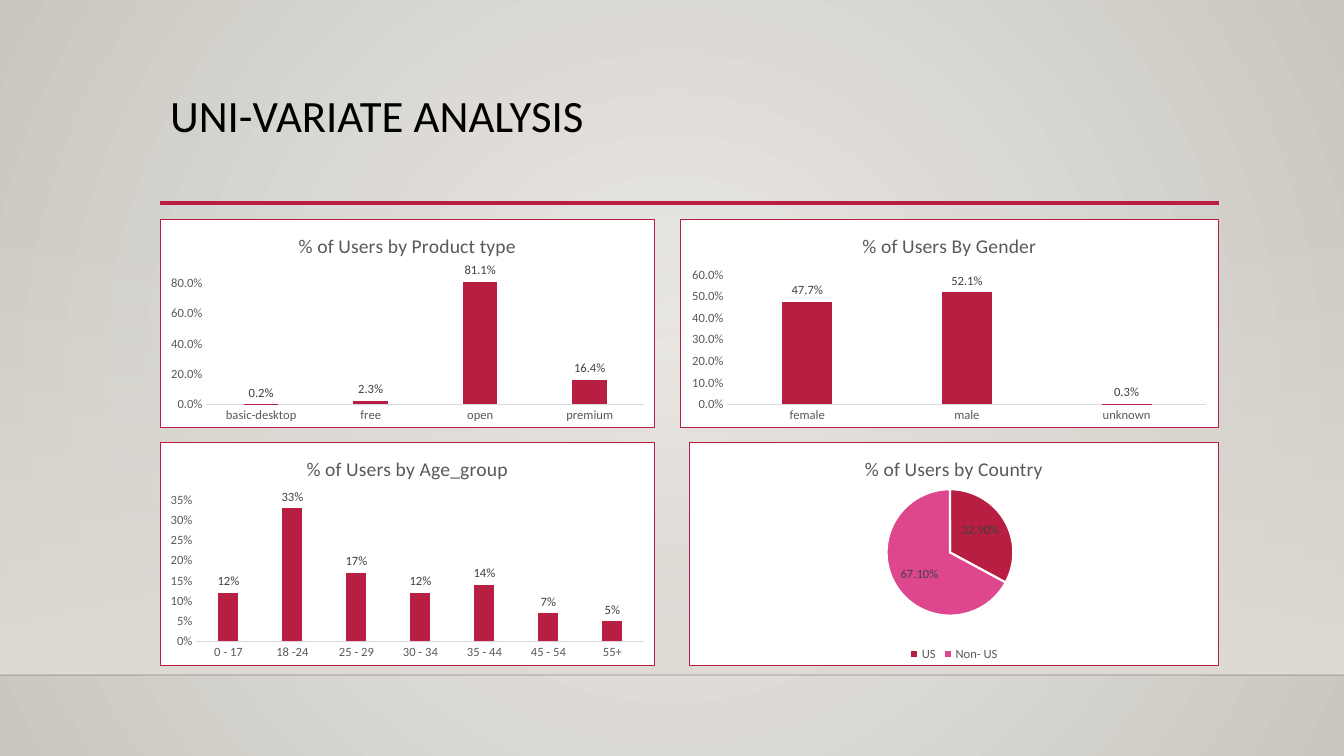
import pptx
import pptx.util
import pptx.chart.data
import pptx.dml.color
import pptx.enum.chart
import pptx.enum.shapes
import pptx.enum.text
import pptx.oxml
import pptx.oxml.ns

RED, PINK, GRAY, DARK = "B71E42", "DE478E", "595959", "404040"
WIDE, HIGH = 1344, 756
LEFT, RIGHT, FLOOR = 160, 1219, 675
TITLE = "UNI-VARIATE ANALYSIS"

BARS = [
    dict(title="% of Users by Product type", box=(LEFT, 219, 495, 209),
         plot=(206, 268, 439, 137), top=0.9, step=0.2, form="0.0%",
         data={"basic-desktop": 0.002, "free": 0.023, "open": 0.811, "premium": 0.164}),
    dict(title="% of Users By Gender", box=(680, 219, 539, 209),
         plot=(727, 275, 480, 130), top=0.6, step=0.1, form="0.0%",
         data={"female": 0.477, "male": 0.521, "unknown": 0.003}),
    dict(title="% of Users by Age_group", box=(LEFT, 442, 495, 224),
         plot=(196, 500, 449, 142), top=0.35, step=0.05, form="0%",
         data={"0 - 17": 0.12, "18 -24": 0.33, "25 - 29": 0.17, "30 - 34": 0.12,
               "35 - 44": 0.14, "45 - 54": 0.07, "55+": 0.05}),
]
PIE = dict(title="% of Users by Country", box=(689, 442, 530, 224),
           plot=(886, 489, 128, 127), form="0.00%",
           data={"US": 0.329, "Non- US": 0.671})

KIND = pptx.enum.chart.XL_CHART_TYPE
SPOT = pptx.enum.chart.XL_LABEL_POSITION
TICK = pptx.enum.chart.XL_TICK_MARK
qn = pptx.oxml.ns.qn
SPACES = pptx.oxml.ns.nsdecls("a", "c", "p")


def px(*sizes):
    return [pptx.util.Emu(round(size * 914400 / 100.8)) for size in sizes]


def rgb(text):
    return pptx.dml.color.RGBColor.from_string(text)


def node(tag, body="", attrs=""):
    return pptx.oxml.parse_xml(f"<{tag} {SPACES} {attrs}>{body}</{tag}>")


def style(font, size=9, color=GRAY):
    font.name, font.size, font.bold = "Calibri", pptx.util.Pt(size), False
    font.color.rgb = rgb(color)


def write(frame, text, size=14, color=GRAY, space=None):
    frame.text = text
    para = frame.paragraphs[0]
    para.line_spacing = space
    style(para.runs[0].font, size, color)
    return para


def grad(stops, way):
    marks = "".join(
        f'<a:gs pos="{spot}000"><a:srgbClr val="{color}"><a:alpha val="{alpha}000"/></a:srgbClr></a:gs>'
        for spot, color, alpha in stops)
    return f'<a:gradFill rotWithShape="1"><a:gsLst>{marks}</a:gsLst>{way}</a:gradFill>'


def rule(x1, x2, y, color, width, alpha=100):
    line = slide.shapes.add_connector(pptx.enum.shapes.MSO_CONNECTOR.STRAIGHT, *px(x1, y, x2, y))
    line.line.color.rgb = rgb(color)
    line.line.width = pptx.util.Pt(width)
    props = line._element.spPr
    props.find(".//" + qn("a:srgbClr")).append(node("a:alpha", attrs=f'val="{alpha}000"'))
    props.append(node("a:effectLst"))


def draw(kind, item):
    data = pptx.chart.data.CategoryChartData(number_format=item["form"])
    data.categories = list(item["data"])
    data.add_series(item["title"], list(item["data"].values()))
    chart = slide.shapes.add_chart(kind, *px(*item["box"]), data).chart
    style(chart.font, 10, "000000")
    chart.has_title = True
    write(chart.chart_title.text_frame, item["title"])
    chart.has_legend = False

    root = chart._chartSpace
    body = root.find(qn("c:chart"))
    if root.find(qn("c:roundedCorners")) is None:
        body.addprevious(node("c:roundedCorners", attrs='val="0"'))
    body.addnext(node("c:spPr",
        '<a:solidFill><a:srgbClr val="FFFFFF"/></a:solidFill>'
        f'<a:ln w="9525"><a:solidFill><a:srgbClr val="{RED}"/></a:solidFill></a:ln>'))

    area = body.find(qn("c:plotArea"))
    for old in area.findall(qn("c:layout")):
        area.remove(old)
    x, y, w, h = item["box"]
    left, top, wide, high = item["plot"]
    parts = dict(x=(left - x) / w, y=(top - y) / h, w=wide / w, h=high / h)
    place = '<c:layoutTarget val="inner"/><c:xMode val="edge"/><c:yMode val="edge"/>'
    place += "".join(f'<c:{key} val="{part:.4f}"/>' for key, part in parts.items())
    area.insert(0, node("c:layout", f"<c:manualLayout>{place}</c:manualLayout>"))

    plot = chart.plots[0]
    plot.has_data_labels = True
    tags = plot.data_labels
    style(tags.font, color=DARK)
    tags.show_value = True
    tags.show_percentage = False
    tags.number_format, tags.number_format_is_linked = item["form"], False
    tags.position = SPOT.INSIDE_END if kind == KIND.PIE else SPOT.OUTSIDE_END
    return chart, plot


def bars(item):
    chart, plot = draw(KIND.COLUMN_CLUSTERED, item)
    plot.gap_width, plot.overlap, plot.vary_by_categories = 219, -27, False
    fill = plot.series[0].format.fill
    fill.solid()
    fill.fore_color.rgb = rgb(RED)
    base, scale = chart.category_axis, chart.value_axis
    for axis in (base, scale):
        style(axis.tick_labels.font)
        axis.major_tick_mark = axis.minor_tick_mark = TICK.NONE
        axis.has_major_gridlines = False
    base.format.line.color.rgb = rgb("D9D9D9")
    base.format.line.width = pptx.util.Pt(0.75)
    scale.format.line.fill.background()
    scale.minimum_scale, scale.maximum_scale = 0, item["top"]
    scale.major_unit = item["step"]
    scale.tick_labels.number_format = item["form"]
    scale.tick_labels.number_format_is_linked = False


def pie(item):
    chart, plot = draw(KIND.PIE, item)
    for spot, color in enumerate((RED, PINK)):
        form = plot.series[0].points[spot].format
        form.fill.solid()
        form.fill.fore_color.rgb = rgb(color)
        form.line.color.rgb = rgb("FFFFFF")
        form.line.width = pptx.util.Pt(1.5)
    chart.has_legend = True
    chart.legend.position = pptx.enum.chart.XL_LEGEND_POSITION.BOTTOM
    chart.legend.include_in_layout = False
    style(chart.legend.font)


deck = pptx.Presentation()
deck.slide_width, deck.slide_height = px(WIDE, HIGH)
slide = deck.slides.add_slide(deck.slide_layouts[5])

round_way = '<a:path path="circle"><a:fillToRect l="50000" t="50000" r="50000" b="50000"/></a:path>'
back = grad([(0, "ECEAE7", 100), (100, "CAC7C1", 100)], round_way)
slide._element.cSld.insert(0, node("p:bg", f"<p:bgPr>{back}<a:effectLst/></p:bgPr>"))

wall = slide.shapes.add_shape(pptx.enum.shapes.MSO_SHAPE.RECTANGLE, *px(0, 223, WIDE, FLOOR - 223))
wall.shadow.inherit = False
wall.line.fill.background()
fade = grad([(0, "DFDBD5", 0), (100, "DFDBD5", 100)], '<a:lin ang="5400000" scaled="0"/>')
wall._element.spPr.find(qn("a:prstGeom")).addnext(node("p:spPr", fade)[0])

rule(0, WIDE, FLOOR, "000001", 1, 20)
rule(LEFT, RIGHT, 203, RED, 2.5)

head = slide.shapes.title
head.left, head.top, head.width, head.height = px(LEFT, 89, RIGHT - LEFT, 115)
head.text_frame.word_wrap = True
head.text_frame.vertical_anchor = pptx.enum.text.MSO_ANCHOR.TOP
para = write(head.text_frame, TITLE, size=32, color="000000", space=0.9)
para.alignment = pptx.enum.text.PP_ALIGN.LEFT
slide.shapes._spTree.append(head._element)

for item in BARS:
    bars(item)
pie(PIE)

deck.save("out.pptx")
